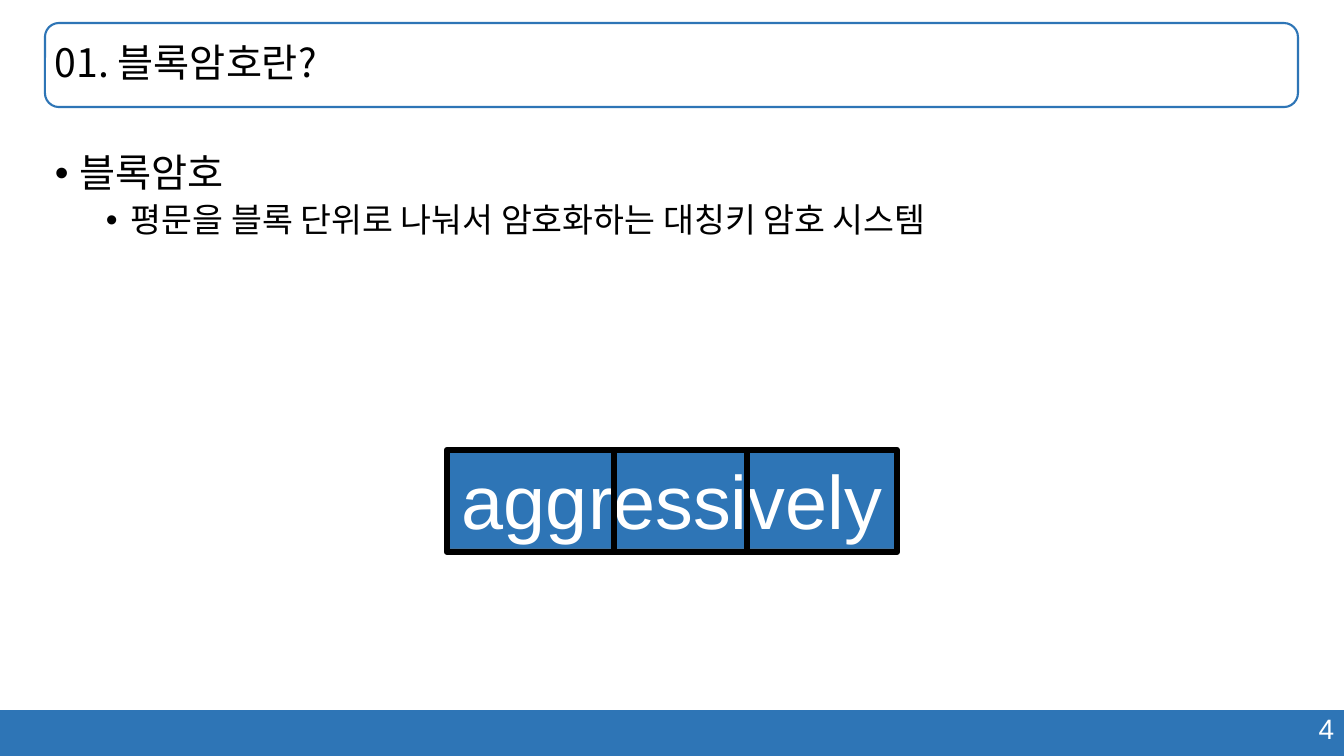
from itertools import accumulate

from lxml.etree import SubElement
from pptx import Presentation
from pptx.dml.color import RGBColor
from pptx.enum.shapes import MSO_SHAPE
from pptx.enum.text import MSO_ANCHOR, PP_ALIGN
from pptx.oxml.ns import qn
from pptx.util import Pt

EMU_PER_PX = 914400 / 100.8
COLORS = {"blue": "2E75B6", "edge": "43739E", "black": "000000", "white": "FFFFFF"}
KOREAN_FONT = "Noto Sans CJK KR"
LATIN_FONT = "Arial"


def px(length):
    return round(length * EMU_PER_PX)


def color(name):
    return RGBColor.from_string(COLORS[name])


def add_panel(shapes, kind, area, fill=None, line=None, weight=1):
    panel = shapes.add_shape(kind, *map(px, area))
    panel.shadow.inherit = False
    if fill:
        panel.fill.solid()
        panel.fill.fore_color.rgb = color(fill)
    else:
        panel.fill.background()
    if line:
        panel.line.color.rgb = color(line)
        panel.line.width = Pt(weight)
    else:
        panel.line.fill.background()
    return panel


def add_text_box(page, area, anchor=MSO_ANCHOR.TOP):
    frame = page.shapes.add_textbox(*map(px, area)).text_frame
    frame.word_wrap = True
    frame.vertical_anchor = anchor
    return frame


def add_span(paragraph, text, size, ink, font=LATIN_FONT):
    span = paragraph.add_run()
    span.text = text
    span.font.size = Pt(size)
    span.font.color.rgb = color(ink)
    span.font.name = font
    SubElement(span.font._element, qn("a:ea")).set("typeface", KOREAN_FONT)


def add_bullet(paragraph, left, hanging):
    properties = paragraph._p.get_or_add_pPr()
    properties.set("marL", str(px(left)))
    properties.set("indent", str(-px(hanging)))
    SubElement(properties, qn("a:buFont")).set("typeface", LATIN_FONT)
    SubElement(properties, qn("a:buChar")).set("char", "•")


def add_footer(page):
    add_panel(page.shapes, MSO_SHAPE.RECTANGLE, (0, 710, 1344, 46), fill="blue")
    number = add_text_box(page, (951, 707, 393, 44)).paragraphs[0]
    number.alignment = PP_ALIGN.RIGHT
    add_span(number, "4", 20, "white")


def add_title(page):
    area = (45, 23, 1253, 84)
    add_panel(page.shapes, MSO_SHAPE.ROUNDED_RECTANGLE, area, line="blue", weight=1.5)
    title = add_text_box(page, area, MSO_ANCHOR.MIDDLE).paragraphs[0]
    title.line_spacing = 0.9
    add_span(title, "01. 블록암호란?", 28, "black", KOREAN_FONT)


def add_definition(page):
    frame = add_text_box(page, (45, 149, 973, 183))
    term = frame.paragraphs[0]
    meaning = frame.add_paragraph()
    meaning.level = 1
    meaning.space_before = Pt(5)
    for paragraph, left, text, size in (
        (term, 25, "블록암호", 28),
        (meaning, 76, "평문을 블록 단위로 나눠서 암호화하는 대칭키 암호 시스템", 24),
    ):
        add_bullet(paragraph, left, 25)
        paragraph.line_spacing = 0.9
        add_span(paragraph, text, size, "black")


def add_split_word(page):
    """Draw the plaintext word and the frames that cut it into blocks."""
    left, top = 447, 450
    word = add_panel(page.shapes, MSO_SHAPE.RECTANGLE, (left, top, 450, 99),
                     fill="blue", line="edge")
    word.text_frame.vertical_anchor = MSO_ANCHOR.MIDDLE
    paragraph = word.text_frame.paragraphs[0]
    paragraph.alignment = PP_ALIGN.CENTER
    add_span(paragraph, "aggressively", 54, "white")

    widths = (167, 133, 150)
    frames = page.shapes.add_group_shape()
    for block_left, width in zip(accumulate(widths, initial=left), widths):
        add_panel(frames.shapes, MSO_SHAPE.RECTANGLE, (block_left, top, width, 102),
                  line="black", weight=4.5)


def main():
    deck = Presentation()
    deck.slide_width, deck.slide_height = px(1344), px(756)
    page = deck.slides.add_slide(deck.slide_layouts[6])
    add_footer(page)
    add_title(page)
    add_definition(page)
    add_split_word(page)
    deck.save("out.pptx")


if __name__ == "__main__":
    main()
